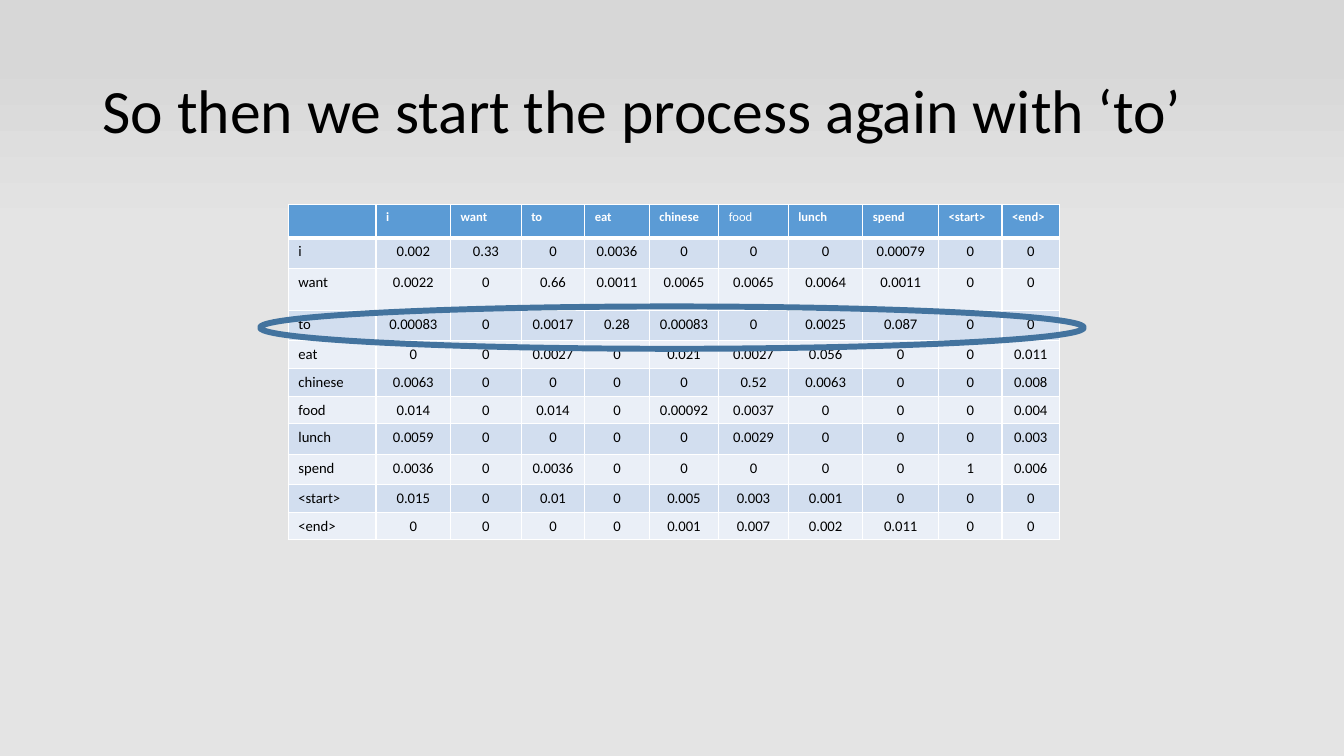
from dataclasses import dataclass

from lxml import etree
from pptx import Presentation
from pptx import util as u
from pptx.dml.color import RGBColor
from pptx.enum import shapes, text
from pptx.oxml import ns


@dataclass(frozen=True)
class Theme:
    font: str = "Calibri"
    ink: str = "000000"
    white: str = "FFFFFF"
    head: str = "5B9BD5"
    bands: tuple[str, str] = ("D2DEEF", "EAEFF7")
    ring: str = "43739E"
    sky: tuple[tuple[float, str], ...] = ((0.07, "D7D7D7"), (0.31, "E4E4E4"))
    title: float = 44
    label: float = 9
    body: float = 10.5
    thin: float = 1
    thick: float = 3
    bold: float = 4.25


@dataclass(frozen=True)
class Box:
    """A place on the grid: column, row, columns wide, rows high."""
    x: int
    y: int
    w: int
    h: int

    def place(self) -> tuple[int, int, int, int]:
        return grid(self.x), grid(self.y), grid(self.w), grid(self.h)


@dataclass(frozen=True)
class Row:
    high: int
    word: str
    odds: str


THEME = Theme()
WIDE, HIGH = 1333, 750  # grid columns and rows on the slide
UNIT = u.Inches(13.33) // WIDE

TITLE = Box(92, 40, 1150, 145)
RING = Box(258, 304, 817, 42)
COLS = (87, 74, 70, 63, 64, 69, 69, 74, 75, 63, 57)
HEAD = 33
ROWS = (
    Row(30, "i", "0.002 0.33 0 0.0036 0 0 0 0.00079 0 0"),
    Row(42, "want", "0.0022 0 0.66 0.0011 0.0065 0.0065 0.0064 0.0011 0 0"),
    Row(30, "to", "0.00083 0 0.0017 0.28 0.00083 0 0.0025 0.087 0 0"),
    Row(26, "eat", "0 0 0.0027 0 0.021 0.0027 0.056 0 0 0.011"),
    Row(26, "chinese", "0.0063 0 0 0 0 0.52 0.0063 0 0 0.008"),
    Row(26, "food", "0.014 0 0.014 0 0.00092 0.0037 0 0 0 0.004"),
    Row(30, "lunch", "0.0059 0 0 0 0 0.0029 0 0 0 0.003"),
    Row(30, "spend", "0.0036 0 0.0036 0 0 0 0 0 1 0.006"),
    Row(26, "<start>", "0.015 0 0.01 0 0.005 0.003 0.001 0 0 0"),
    Row(26, "<end>", "0 0 0 0 0.001 0.007 0.002 0.011 0 0"),
)
TABLE = Box(286, 203, sum(COLS), HEAD + sum(row.high for row in ROWS))


def grid(count: int) -> int:
    return u.Emu(count * UNIT)


def tint(code: str) -> RGBColor:
    return RGBColor.from_string(code)


def style(para, size: float, color: str, bold: bool = False) -> None:
    font = para.font
    font.name, font.size, font.bold = THEME.font, u.Pt(size), bold
    font.color.rgb = tint(color)


def edge(cell, side: str, width: float) -> None:
    line = etree.SubElement(cell._tc.get_or_add_tcPr(), ns.qn(f"a:ln{side}"),
                            w=str(u.Pt(width)))
    fill = etree.SubElement(line, ns.qn("a:solidFill"))
    etree.SubElement(fill, ns.qn("a:srgbClr"), val=THEME.white)


def draw_cell(cell, row: int, col: int, word: str) -> None:
    top = row == 0
    # Borders come before the fill in the cell's properties
    for side in "LRTB":
        rule = (row, side) in ((0, "B"), (1, "T"))
        edge(cell, side, THEME.thick if rule else THEME.thin)
    cell.fill.solid()
    cell.fill.fore_color.rgb = tint(THEME.head if top else THEME.bands[(row - 1) % 2])
    para = cell.text_frame.paragraphs[0]
    if word:
        para.text = word
    else:
        cell.margin_top = cell.margin_bottom = 0
    if top:
        style(para, THEME.label, THEME.white, word != "food")
    else:
        style(para, THEME.body, THEME.ink)
        if col:
            para.alignment = text.PP_ALIGN.CENTER


def draw_table(slide) -> None:
    lines = [["", *(row.word for row in ROWS)]]
    lines += [[row.word, *row.odds.split()] for row in ROWS]
    table = slide.shapes.add_table(len(lines), len(COLS), *TABLE.place()).table
    for col, wide in zip(table.columns, COLS):
        col.width = grid(wide)
    for row, high in zip(table.rows, (HEAD, *(row.high for row in ROWS))):
        row.height = grid(high)
    for y, line in enumerate(lines):
        for x, word in enumerate(line):
            draw_cell(table.cell(y, x), y, x, word)


def draw_title(slide, words: str) -> None:
    frame = slide.shapes.add_textbox(*TITLE.place()).text_frame
    frame.word_wrap = True
    frame.vertical_anchor = text.MSO_ANCHOR.MIDDLE
    para = frame.paragraphs[0]
    para.text = words
    para.line_spacing = 0.9
    style(para, THEME.title, THEME.ink)


def draw_ring(slide) -> None:
    ring = slide.shapes.add_shape(shapes.MSO_SHAPE.OVAL, *RING.place())
    ring.shadow.inherit = False
    ring.fill.background()
    ring.line.color.rgb = tint(THEME.ring)
    ring.line.width = u.Pt(THEME.bold)


def draw_sky(slide) -> None:
    fill = slide.background.fill
    fill.gradient()
    fill.gradient_angle = 270
    for stop, (place, code) in zip(fill.gradient_stops, THEME.sky):
        stop.position = place
        stop.color.rgb = tint(code)


def main() -> None:
    deck = Presentation()
    deck.slide_width, deck.slide_height = grid(WIDE), grid(HIGH)
    slide = deck.slides.add_slide(deck.slide_layouts[6])
    draw_sky(slide)
    draw_title(slide, "So then we start the process again with ‘to’")
    draw_table(slide)
    draw_ring(slide)
    deck.save("out.pptx")


if __name__ == "__main__":
    main()
